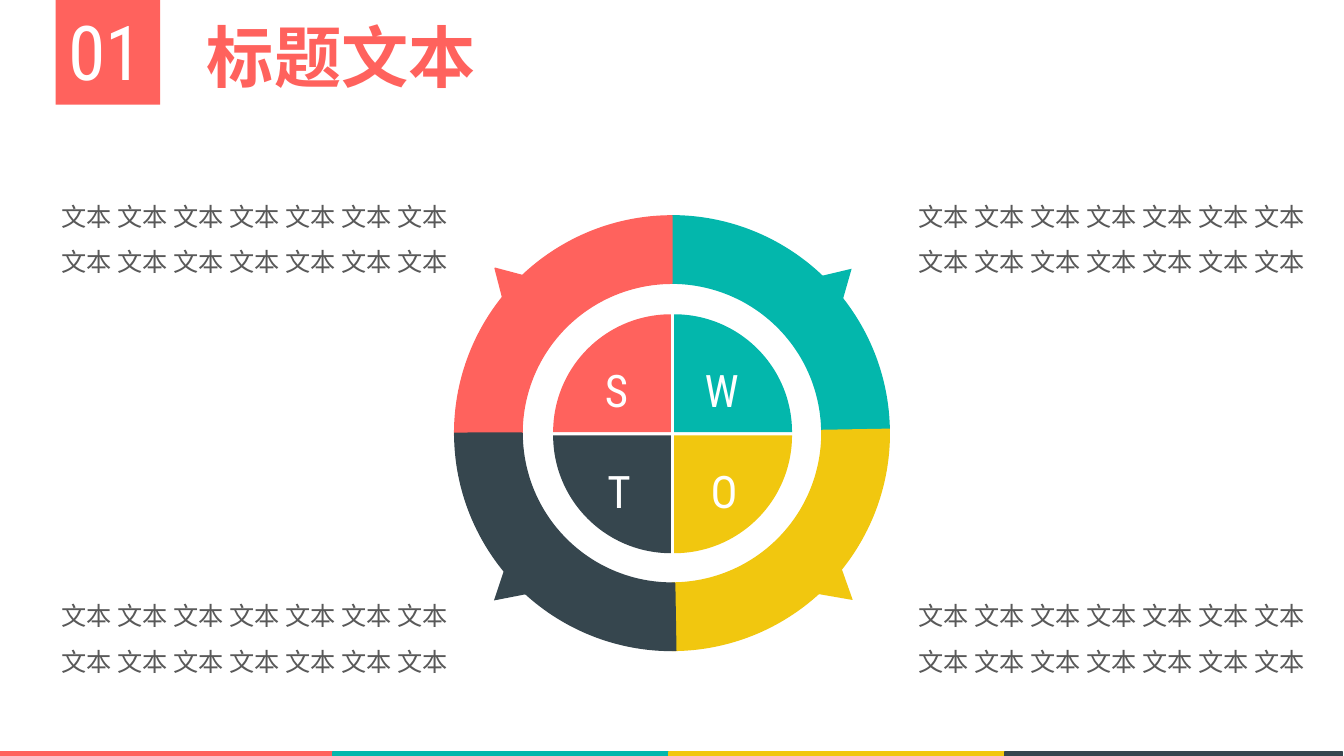
"""Build a SWOT wheel slide with four captions."""
from dataclasses import dataclass
from lxml import etree
from pptx import Presentation
from pptx.dml.color import RGBColor
from pptx.enum.shapes import MSO_SHAPE
from pptx.enum.text import MSO_ANCHOR, MSO_AUTO_SIZE, PP_ALIGN
from pptx.oxml.ns import qn
from pptx.util import Cm, Pt

RECT = MSO_SHAPE.RECTANGLE
ARC = MSO_SHAPE.BLOCK_ARC
PIE = MSO_SHAPE.PIE
TIP = MSO_SHAPE.ISOSCELES_TRIANGLE
LEFT, MID = PP_ALIGN.LEFT, PP_ALIGN.CENTER
TOP = MSO_ANCHOR.TOP
FIXED = MSO_AUTO_SIZE.NONE


@dataclass(frozen=True)
class Theme:
    red: str = "FF625D"
    teal: str = "03B7AC"
    gold: str = "F1C70F"
    dark: str = "36464E"
    white: str = "FFFFFF"
    grey: str = "595959"
    han: str = "Noto Sans CJK SC"
    latin: str = "Roboto Condensed"
    number: int = 54
    title: int = 48
    letter: int = 32
    body: int = 18


class Deck:
    def __init__(self, theme):
        self.theme = theme
        self.prs = Presentation()
        self.prs.slide_width, self.prs.slide_height = Cm(33.87), Cm(19.05)
        self.slide = self.prs.slides.add_slide(self.prs.slide_layouts[5])

    def shape(self, kind, box, hue, edge=False, turn=0, adjust=()):
        item = self.slide.shapes.add_shape(kind, *map(Cm, box))
        item.shadow.inherit = False
        item.rotation = turn
        for i, value in enumerate(adjust):
            item.adjustments[i] = value
        item.fill.solid()
        item.fill.fore_color.rgb = RGBColor.from_string(hue)
        if edge:
            item.line.color.rgb = RGBColor.from_string(hue)
            item.line.width = Pt(1)
        else:
            item.line.fill.background()

    def fill_text(self, item, lines, size, hue, font, align, bold=False, space=1):
        frame = item.text_frame
        frame.word_wrap = True
        frame.auto_size = FIXED
        frame.vertical_anchor = TOP
        for i, line in enumerate(lines):
            para = frame.add_paragraph() if i else frame.paragraphs[0]
            para.alignment = align
            para.line_spacing = space
            run = para.add_run()
            run.text = line
            run.font.size = Pt(size)
            run.font.bold = bold
            run.font.color.rgb = RGBColor.from_string(hue)
            run.font.name = font
            east = etree.SubElement(run.font._element, qn("a:ea"))
            east.set("typeface", font)

    def text(self, box, lines, size, hue, font, align=MID, space=1):
        item = self.slide.shapes.add_textbox(*map(Cm, box))
        self.fill_text(item, lines, size, hue, font, align, space=space)

    def title(self, box, words):
        item = self.slide.shapes.title
        item.left, item.top, item.width, item.height = map(Cm, box)
        look = self.theme
        self.fill_text(item, [words], look.title, look.red, look.han, MID, True)

    def quarter(self, letter, hue, col, row, turn, tilt):
        look = self.theme
        self.shape(ARC, (11.46, 5.44, 10.95, 10.95), hue, True, turn,
                   (161.4, 0, 0.155))
        self.shape(TIP, (12.19 + 8.1 * col, 6.58 + 7.52 * row, 1.45, 1.24),
                   hue, hue == look.red, tilt)
        self.shape(PIE, (13.94 + 0.08 * col, 7.92 + 0.08 * row, 5.94, 5.94),
                   hue, turn=(turn + 90) % 360, adjust=(108, 162))
        self.text((14.55 + 2.65 * col + 0.06 * row, 9.02 + 2.54 * row, 1.98, 1.63),
                  [letter], look.letter, look.white, look.latin)
        self.text((1.3 + 21.59 * col, 4.57 + 10.06 * row, 11.02, 2.57),
                  [" ".join(["文本"] * 7)] * 2, look.body, look.grey, look.han,
                  LEFT, 1.5)


def main():
    look = Theme()
    deck = Deck(look)
    for i, hue in enumerate((look.red, look.teal, look.gold, look.dark)):
        deck.shape(RECT, (8.47 * i - 0.08, 18.95, 8.51, 0.15), hue, True)
    deck.shape(RECT, (1.4, 0, 2.64, 2.64), look.red)
    deck.text((-1.47, 0, 8.28, 2.57), ["01"], look.number, look.white, look.latin)
    deck.title((1.68, 0.25, 13.84, 2.31), "标题文本")
    for part in (
        ("W", look.teal, 1, 0, 0, 46.3),
        ("O", look.gold, 1, 1, 90, 130.2),
        ("S", look.red, 0, 0, 270, 315.2),
        ("T", look.dark, 0, 1, 180, 228.7),
    ):
        deck.quarter(*part)
    deck.prs.save("out.pptx")


if __name__ == "__main__":
    main()
